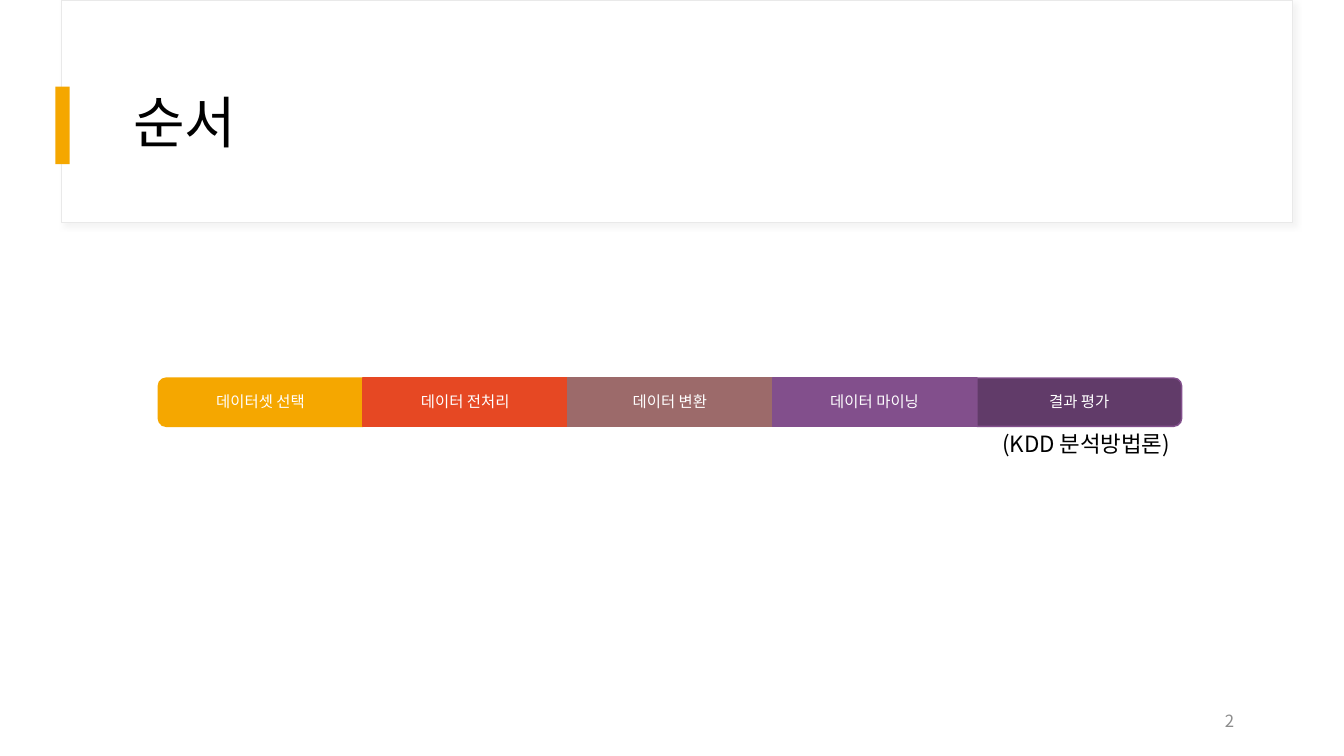
from lxml import etree
from pptx import Presentation
from pptx.dml.color import RGBColor
from pptx.enum.shapes import MSO_SHAPE as Shape
from pptx.enum.text import MSO_ANCHOR as Anchor, PP_ALIGN as Align
from pptx.oxml import parse_xml
from pptx.oxml.ns import nsdecls, qn
from pptx.util import Inches, Pt

FONT = "Noto Sans CJK KR"
COLORS = {
    "white": "FFFFFF",
    "black": "000000",
    "gray": "8C8C8C",
    "border": "E9E9E9",
    "shadow": "D9D9D9",
    "amber": "F5A700",
    "orange": "E64823",
    "rose": "9C6A6A",
    "violet": "824F8C",
    "plum": "613B69",
}
# label, fill, line, rotation of a rounded end (None for a square segment)
STEPS = [
    ("데이터셋 선택", "amber", "amber", 270),
    ("데이터 전처리", "orange", "orange", None),
    ("데이터 변환", "rose", "rose", None),
    ("데이터 마이닝", "violet", "violet", None),
    ("결과 평가", "plum", "violet", 90),
]
BAR_LEFT, BAR_TOP, STEP_WIDTH, STEP_HEIGHT = 1.57, 3.75, 2.03, 0.48


def rgb(name):
    return RGBColor.from_string(COLORS[name])


def write(frame, text, size, color, align=Align.LEFT, spacing=0.9, inset=None):
    """Fill a text frame with one formatted, vertically centred paragraph."""
    layout = {"word_wrap": True, "vertical_anchor": Anchor.MIDDLE}
    if inset is not None:
        for side in ("left", "top", "right", "bottom"):
            layout[f"margin_{side}"] = Inches(inset)
    for name, value in layout.items():
        setattr(frame, name, value)
    para = frame.paragraphs[0]
    para.alignment, para.line_spacing = align, spacing
    span = para.add_run()
    span.text = text
    for name, value in {"size": Pt(size), "name": FONT, "bold": False}.items():
        setattr(span.font, name, value)
    span.font.color.rgb = rgb(color)
    east_asian = etree.SubElement(span._r.get_or_add_rPr(), qn("a:ea"))
    east_asian.set("typeface", FONT)


def add_text(shapes, place, text, size, color, **options):
    box = shapes.add_textbox(*map(Inches, place))
    write(box.text_frame, text, size, color, **options)


def add_block(shapes, kind, place, fill, line=None, width=1):
    block = shapes.add_shape(kind, *map(Inches, place))
    block.shadow.inherit = False
    block.fill.solid()
    block.fill.fore_color.rgb = rgb(fill)
    if line:
        block.line.color.rgb = rgb(line)
        block.line.width = Pt(width)
    else:
        block.line.fill.background()
    return block


def add_soft_shadow(block):
    effects = block._element.spPr.find(qn("a:effectLst"))
    effects.append(parse_xml(
        f'<a:outerShdw {nsdecls("a")} blurRad="{Pt(4)}" dist="{Pt(3)}" '
        f'dir="{45 * 60000}" algn="tl" rotWithShape="0">'
        f'<a:srgbClr val="{COLORS["shadow"]}"><a:alpha val="30000"/></a:srgbClr>'
        '</a:outerShdw>'))


def add_header(page, text):
    frame = add_block(page.shapes, Shape.RECTANGLE, (0.61, 0, 12.21, 2.21),
                      "white", "border", 0.75)
    add_soft_shadow(frame)
    add_block(page.shapes, Shape.RECTANGLE, (0.55, 0.86, 0.14, 0.77), "amber")
    title = page.shapes.title
    place = {"left": 1.22, "top": 0.6, "width": 11.12, "height": 1.29}
    for name, value in place.items():
        setattr(title, name, Inches(value))
    write(title.text_frame, text, 40, "black")
    page.shapes._spTree.append(title._element)  # bring the title above its frame


def add_step(page, left, label, fill, line, rotation):
    group = page.shapes.add_group_shape().shapes
    place = (left, BAR_TOP, STEP_WIDTH, STEP_HEIGHT)
    if rotation is None:
        add_block(group, Shape.RECTANGLE, place, fill, line)
    else:
        shift = (STEP_WIDTH - STEP_HEIGHT) / 2
        upright = (left + shift, BAR_TOP - shift, STEP_HEIGHT, STEP_WIDTH)
        end = add_block(group, Shape.ROUND_2_SAME_RECTANGLE, upright, fill, line)
        end.rotation = rotation
    add_text(group, place, label, 11, "white", align=Align.CENTER, inset=0.09)


def main():
    deck = Presentation()
    deck.slide_width, deck.slide_height = Inches(13.33), Inches(7.5)
    page = deck.slides.add_slide(deck.slide_layouts[5])
    add_header(page, "순서")
    add_text(page.shapes, (9.34, 6.95, 3, 0.4), "2", 12, "gray",
             align=Align.RIGHT, spacing=1.0)
    for index, step in enumerate(STEPS):
        add_step(page, BAR_LEFT + index * STEP_WIDTH, *step)
    add_text(page.shapes, (9.84, 3.77, 4.53, 1.29), "(KDD 분석방법론)", 16, "black")
    deck.save("out.pptx")


if __name__ == "__main__":
    main()
